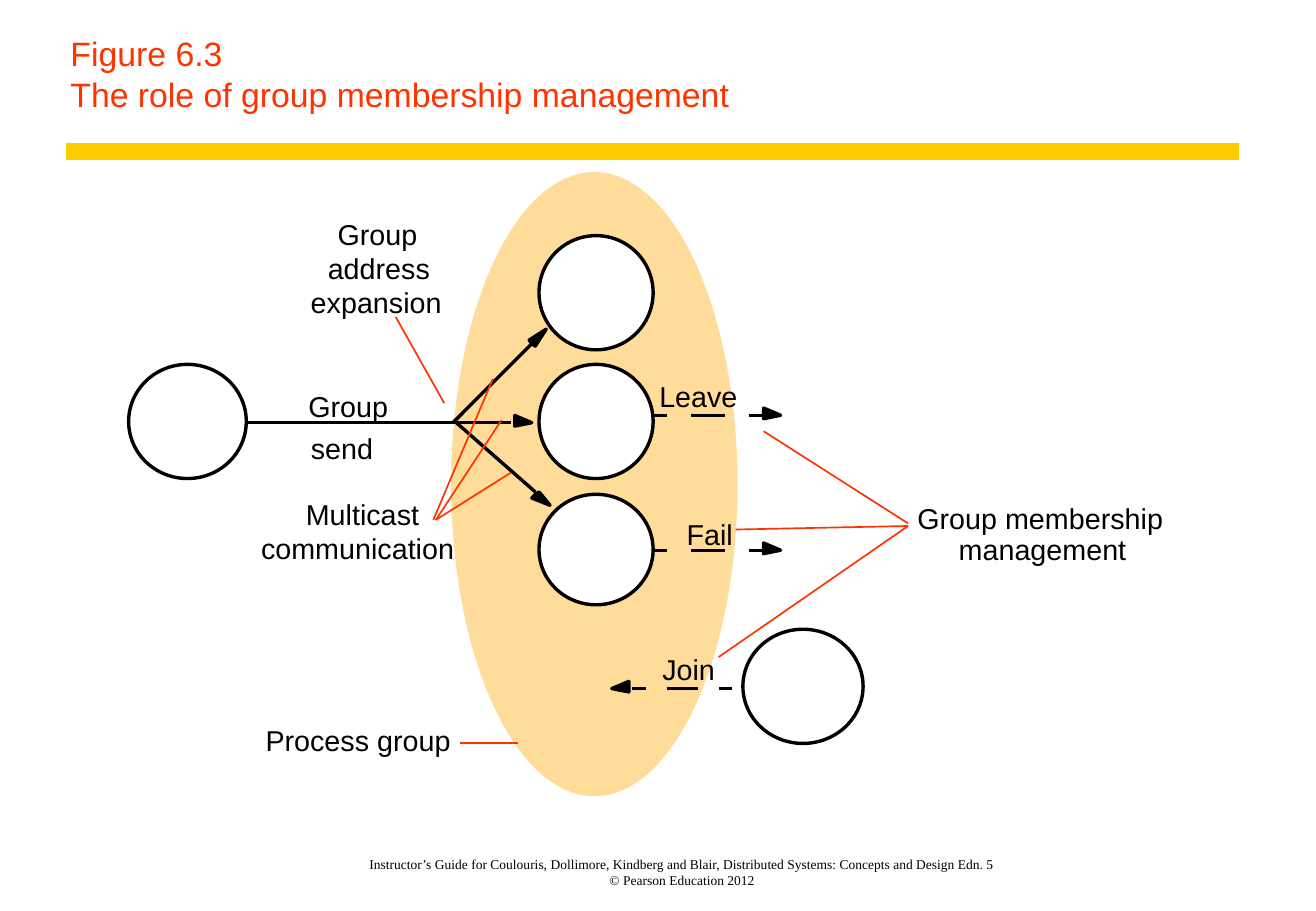
from dataclasses import dataclass

from lxml import etree
from pptx import Presentation
from pptx.dml.color import RGBColor
from pptx.enum.shapes import MSO_CONNECTOR, MSO_SHAPE
from pptx.enum.text import MSO_ANCHOR, MSO_AUTO_SIZE, PP_ALIGN
from pptx.oxml.ns import qn
from pptx.util import Pt

OVAL = MSO_SHAPE.OVAL
STRAIGHT = MSO_CONNECTOR.STRAIGHT
BOTTOM, TOP = MSO_ANCHOR.BOTTOM, MSO_ANCHOR.TOP
LEFT, CENTER = PP_ALIGN.LEFT, PP_ALIGN.CENTER
FIXED = MSO_AUTO_SIZE.NONE


@dataclass(frozen=True)
class Theme:
    ink: RGBColor = RGBColor(0, 0, 0)
    paper: RGBColor = RGBColor(255, 255, 255)
    accent: RGBColor = RGBColor(0xFF, 0x33, 0)
    bar: RGBColor = RGBColor(0xFF, 0xCC, 0)
    group: RGBColor = RGBColor(0xFF, 0xDC, 0x99)
    sans: str = "Arial"
    serif: str = "Times New Roman"
    title_size: float = 20
    label_size: float = 17
    footer_size: float = 8
    bar_width: float = 10
    arrow_width: float = 2
    pointer_width: float = 1


THEME = Theme()

GROUP_OVAL = (196.6, 3, 167.8, 367.9)
PROCESSES = [
    (4.3, 116, 69.8, 67.7),
    (247.7, 39.7, 67.7, 67.7),
    (247.7, 116, 67.7, 67.7),
    (247.7, 193, 67.7, 65.5),
    (368.6, 273, 71.3, 67.7),
]
SEND_LINES = [
    (72, 150.6, 231.1, 150.6),
    (196.6, 150.6, 243.4, 103.8),
    (198.7, 150.6, 245.5, 191.6),
]
OUTWARD_DASHES = [(315.4, 323.3), (337.7, 357.8), (372.2, 380.9)]
INWARD_DASHES = [(362.2, 354.2), (342, 323.3), (311, 303.1)]
MEMBERSHIP_ARROWS = [
    (146.2, OUTWARD_DASHES),
    (226.2, OUTWARD_DASHES),
    (308.2, INWARD_DASHES),
]
LEVEL_TIPS = [
    (243.4, 150.6, 1), (391, 146.2, 1), (391, 226.2, 1), (290.9, 308.2, -1),
]
SLANTED_HEADS = [
    [(243.4, 103.8), (241.9, 101.6), (252, 95.1), (245.5, 105.2)],
    [(245.5, 193), (247.7, 191.6), (254.2, 199.5), (243.4, 195.2)],
]
POINTERS = [
    (162.7, 87.9, 191.5, 139),
    (466.6, 210.3, 380.9, 155.6),
    (466.6, 211.8, 364.3, 213.9),
    (354.2, 289.5, 466.6, 211.8),
    (231.1, 180.1, 186.5, 208.2),
    (225.4, 149.1, 186.5, 208.2),
    (220.3, 124.6, 185, 208.2),
    (200.9, 340.6, 235.4, 340.6),
]
LABEL_HEIGHT = 20.2
LABELS = [
    ("Group", 128.2, 28.7, 50),
    ("address", 122.4, 48.9, 63),
    ("expansion", 112.3, 69.1, 80),
    ("Group", 110.9, 130.4, 50),
    ("send", 112.3, 155.6, 40),
    ("Multicast", 109.4, 194.5, 70),
    ("communication", 82.8, 214.6, 118),
    ("Leave", 319, 124.6, 49),
    ("Fail", 335.2, 206.3, 30),
    ("Join", 320.8, 286.2, 34),
    ("Group membership", 472.1, 196.6, 149),
    ("management", 496.6, 215.4, 103),
    ("Process group", 85.5, 328.4, 113),
]


def apply(target, values):
    for name, value in values.items():
        setattr(target, name, value)


def write(shape, lines, font, margins=(0, 0, 0, 0), align=LEFT, frame_format=None):
    frame = shape.text_frame
    sides = ("margin_left", "margin_top", "margin_right", "margin_bottom")
    apply(frame, {side: Pt(size) for side, size in zip(sides, margins)})
    apply(frame, frame_format or {})
    para = frame.paragraphs[0]
    para.alignment = align
    name, size, color = font
    for index, line in enumerate(lines):
        if index:
            para.add_line_break()
        span = para.add_run()
        span.text = line
        apply(span.font, {"name": name, "size": Pt(size)})
        span.font.color.rgb = color


def add_line(page, box, ends, color, width):
    x1, y1, x2, y2 = ends
    left, top = box[:2]
    line = page.shapes.add_connector(
        STRAIGHT, Pt(left + x1), Pt(top + y1), Pt(left + x2), Pt(top + y2))
    line.line.color.rgb = color
    line.line.width = Pt(width)
    etree.SubElement(line._element.spPr, qn("a:effectLst"))


def paint(shape, fill, outline):
    shape.shadow.inherit = False
    shape.fill.solid()
    shape.fill.fore_color.rgb = fill
    shape.line.color.rgb = outline
    shape.line.width = Pt(THEME.arrow_width)


def add_oval(page, box, place, fill, outline):
    x, y, width, height = place
    oval = page.shapes.add_shape(
        OVAL, Pt(box[0] + x), Pt(box[1] + y), Pt(width), Pt(height))
    paint(oval, fill, outline)


def add_head(page, box, corners):
    points = [(Pt(box[0] + x), Pt(box[1] + y)) for x, y in corners]
    builder = page.shapes.build_freeform(*points[0])
    builder.add_line_segments(points[1:], close=True)
    paint(builder.convert_to_shape(), THEME.ink, THEME.ink)


def level_head(x, y, direction):
    back = x - 10.1 * direction
    return [(back, y), (back, y - 4.3), (x, y), (back, y + 2)]


def add_header(page, box):
    left, top, width, height = box
    title = page.shapes.title
    apply(title, {"left": Pt(left), "top": Pt(top),
                  "width": Pt(width), "height": Pt(height - 24)})
    write(title, ["Figure 6.3", "The role of group membership management"],
          (THEME.sans, THEME.title_size, THEME.accent), (7.2, 4.3, 10, 4.3),
          frame_format={"vertical_anchor": BOTTOM, "word_wrap": True,
                        "auto_size": FIXED})
    add_line(page, box, (4.3, height - 6, width, height - 6),
             THEME.bar, THEME.bar_width)


def add_diagram(page, box):
    add_oval(page, box, GROUP_OVAL, THEME.group, THEME.group)
    dashes = [(start, y, end, y)
              for y, spans in MEMBERSHIP_ARROWS for start, end in spans]
    for ends in SEND_LINES + dashes:
        add_line(page, box, ends, THEME.ink, THEME.arrow_width)
    for place in PROCESSES:
        add_oval(page, box, place, THEME.paper, THEME.ink)
    for corners in SLANTED_HEADS + [level_head(*tip) for tip in LEVEL_TIPS]:
        add_head(page, box, corners)
    for ends in POINTERS:
        add_line(page, box, ends, THEME.accent, THEME.pointer_width)
    for text, x, y, width in LABELS:
        label = page.shapes.add_textbox(
            Pt(box[0] + x), Pt(box[1] + y), Pt(width), Pt(LABEL_HEIGHT))
        write(label, [text], (THEME.sans, THEME.label_size, THEME.ink),
              frame_format={"vertical_anchor": TOP, "word_wrap": True,
                            "auto_size": FIXED})


def add_footer(page, box):
    footer = page.shapes.add_textbox(*map(Pt, box))
    write(footer,
          ["Instructor’s Guide for Coulouris, Dollimore, Kindberg and Blair, "
           "Distributed Systems: Concepts and Design Edn. 5",
           "© Pearson Education 2012"],
          (THEME.serif, THEME.footer_size, THEME.ink), align=CENTER,
          frame_format={"vertical_anchor": BOTTOM, "word_wrap": True})


def main():
    deck = Presentation()
    apply(deck, {"slide_width": Pt(780.48), "slide_height": Pt(540)})
    page = deck.slides.add_slide(deck.slide_layouts[5])
    add_header(page, (34.6, 0, 700.2, 96))
    add_diagram(page, (72, 100, 620, 375))
    add_footer(page, (167, 498.2, 475.2, 28.1))
    deck.save("out.pptx")


if __name__ == "__main__":
    main()
